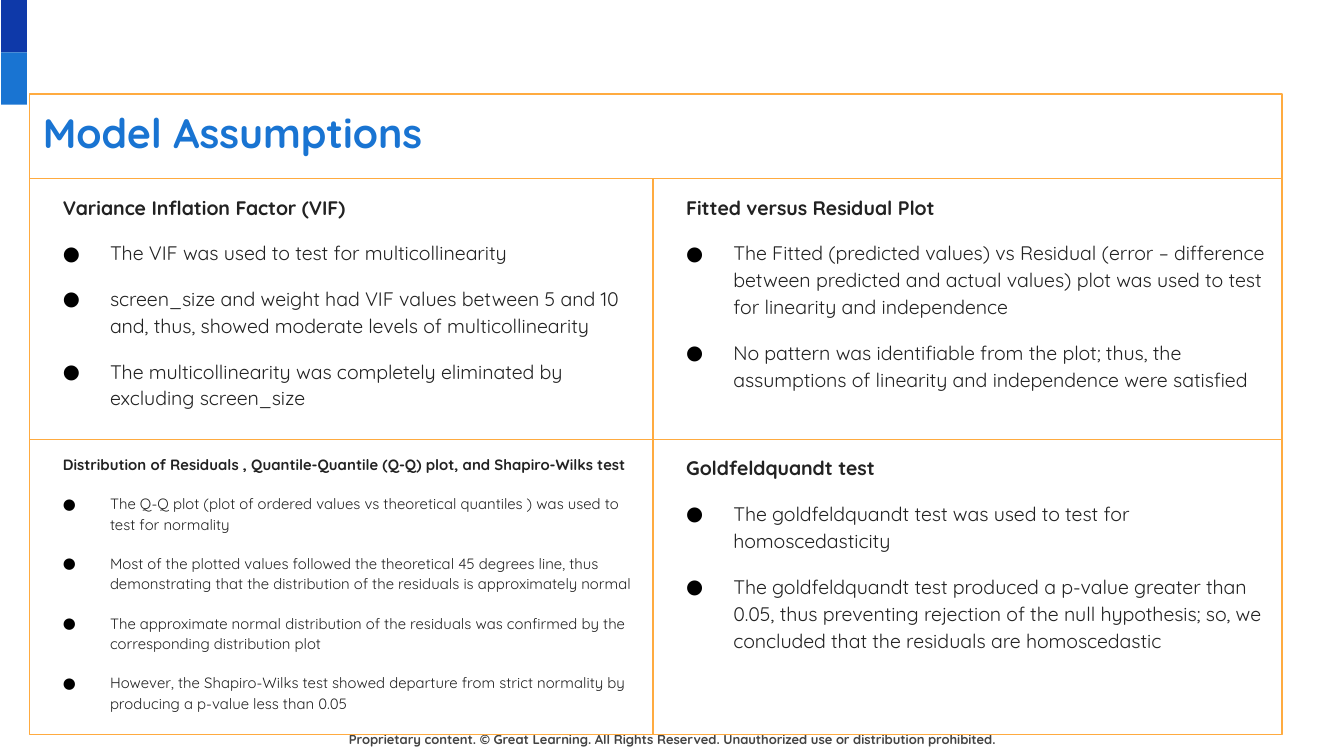
from dataclasses import dataclass

from lxml.etree import SubElement
from pptx import Presentation
from pptx.dml.color import RGBColor
from pptx.enum.shapes import MSO_SHAPE
from pptx.enum.text import MSO_ANCHOR, PP_ALIGN
from pptx.oxml.ns import qn
from pptx.util import Cm, Pt

NAVY = RGBColor(0x0E, 0x39, 0xA9)
BLUE = RGBColor(0x19, 0x74, 0xD2)
ORANGE = RGBColor(0xFF, 0xAB, 0x40)
INK = RGBColor(0x22, 0x22, 0x22)
GREY = RGBColor(0x43, 0x43, 0x43)
FONT = "Quicksand"

# Grid edges in centimetres
LEFT, MIDDLE, RIGHT = 0.56, 12.34, 24.23
TITLE_TOP, UPPER_TOP, LOWER_TOP, BOTTOM = 1.78, 3.38, 8.31, 13.89
PADDING = 0.25


@dataclass
class Panel:
    column: int
    row: int
    heading: str
    points: list[str]
    size: float = 10.5


PANELS = [
    Panel(0, 0, "Variance Inflation Factor (VIF)", [
        "The VIF was used to test for multicollinearity",
        "screen_size and weight had VIF values between 5 and 10 and, thus, "
        "showed moderate levels of multicollinearity",
        "The multicollinearity was completely eliminated by excluding screen_size",
    ]),
    Panel(1, 0, "Fitted versus Residual Plot", [
        "The Fitted (predicted values) vs Residual (error – difference between predicted "
        "and actual values) plot was used to test for linearity and independence",
        "No pattern was identifiable from the plot; thus, the assumptions of linearity "
        "and independence were satisfied",
    ]),
    Panel(0, 1, "Distribution of Residuals , Quantile-Quantile (Q-Q) plot, "
                "and Shapiro-Wilks test", [
        "The Q-Q plot (plot of ordered values vs theoretical quantiles ) was used "
        "to test for normality",
        "Most of the plotted values followed the theoretical 45 degrees line, thus "
        "demonstrating that the distribution of the residuals is approximately normal",
        "The approximate normal distribution of the residuals was confirmed by the "
        "corresponding distribution plot",
        "However, the Shapiro-Wilks test showed departure from strict normality by "
        "producing a p-value less than 0.05",
    ], size=8),
    Panel(1, 1, "Goldfeldquandt test", [
        "The goldfeldquandt test was used to test for homoscedasticity",
        "The goldfeldquandt test produced a p-value greater than 0.05, thus preventing "
        "rejection of the null hypothesis; so, we concluded that the residuals are "
        "homoscedastic",
    ]),
]


def prepare_frame(frame) -> None:
    frame.word_wrap = True
    frame.vertical_anchor = MSO_ANCHOR.TOP
    frame.margin_left = frame.margin_right = Cm(PADDING)
    frame.margin_top = frame.margin_bottom = Cm(PADDING)


def add_run(paragraph, text: str, size: float, color: RGBColor, bold: bool) -> None:
    run = paragraph.add_run()
    run.text = text
    run.font.name = FONT
    run.font.size = Pt(size)
    run.font.bold = bold
    run.font.color.rgb = color


def set_indent(paragraph, margin: float, first_line: float = 0) -> None:
    properties = paragraph._p.get_or_add_pPr()
    properties.set("marL", str(Cm(margin)))
    properties.set("indent", str(Cm(first_line)))


def add_bullet(paragraph) -> None:
    properties = paragraph._p.get_or_add_pPr()
    bullet_color = SubElement(properties, qn("a:buClr"))
    SubElement(bullet_color, qn("a:srgbClr"), val="000000")
    SubElement(properties, qn("a:buFont"), typeface=FONT)
    SubElement(properties, qn("a:buChar"), char="●")


def add_frame(slide, left: float, top: float, right: float, bottom: float):
    """Draw an outlined box and return its empty text frame."""
    box = slide.shapes.add_shape(
        MSO_SHAPE.RECTANGLE, Cm(left), Cm(top), Cm(right - left), Cm(bottom - top))
    box.shadow.inherit = False
    box.fill.background()
    box.line.color.rgb = ORANGE
    box.line.width = Pt(0.75)
    prepare_frame(box.text_frame)
    box.text_frame.paragraphs[0].alignment = PP_ALIGN.LEFT
    return box.text_frame


def add_panel(slide, panel: Panel) -> None:
    columns, rows = (LEFT, MIDDLE, RIGHT), (UPPER_TOP, LOWER_TOP, BOTTOM)
    frame = add_frame(slide, columns[panel.column], rows[panel.row],
                      columns[panel.column + 1], rows[panel.row + 1])
    heading = frame.paragraphs[0]
    heading.line_spacing = 1.15
    set_indent(heading, 0.38)
    add_run(heading, panel.heading, panel.size, INK, bold=True)
    for text in panel.points:
        point = frame.add_paragraph()
        point.alignment = PP_ALIGN.LEFT
        point.line_spacing = 1.15
        point.space_before = Pt(10)
        set_indent(point, 1.27, -0.89)
        add_bullet(point)
        add_run(point, text, panel.size, INK, bold=False)


def add_corner_block(slide, top: float, color: RGBColor) -> None:
    block = slide.shapes.add_shape(
        MSO_SHAPE.RECTANGLE, Cm(0.02), Cm(top), Cm(0.49), Cm(0.99))
    block.shadow.inherit = False
    block.fill.solid()
    block.fill.fore_color.rgb = color
    block.line.fill.background()


def add_footer(slide) -> None:
    footer = slide.shapes.add_textbox(Cm(6.2), Cm(13.67), Cm(12.98), Cm(0.76))
    prepare_frame(footer.text_frame)
    notice = footer.text_frame.paragraphs[0]
    notice.alignment = PP_ALIGN.CENTER
    notice.line_spacing = 1.02
    set_indent(notice, 0.03)
    add_run(notice, "Proprietary content. © Great Learning. All Rights Reserved. "
                    "Unauthorized use or distribution prohibited.", 7, GREY, bold=True)


def main() -> None:
    deck = Presentation()
    deck.slide_width, deck.slide_height = Cm(25.4), Cm(14.29)
    slide = deck.slides.add_slide(deck.slide_layouts[6])

    # Footer and corner marks
    add_footer(slide)
    add_corner_block(slide, 0, NAVY)
    add_corner_block(slide, 0.99, BLUE)

    # Title
    title = add_frame(slide, LEFT, TITLE_TOP, RIGHT, UPPER_TOP)
    add_run(title.paragraphs[0], "Model Assumptions", 22, BLUE, bold=True)

    # Four assumption panels
    for panel in PANELS:
        add_panel(slide, panel)

    deck.save("out.pptx")


if __name__ == "__main__":
    main()
